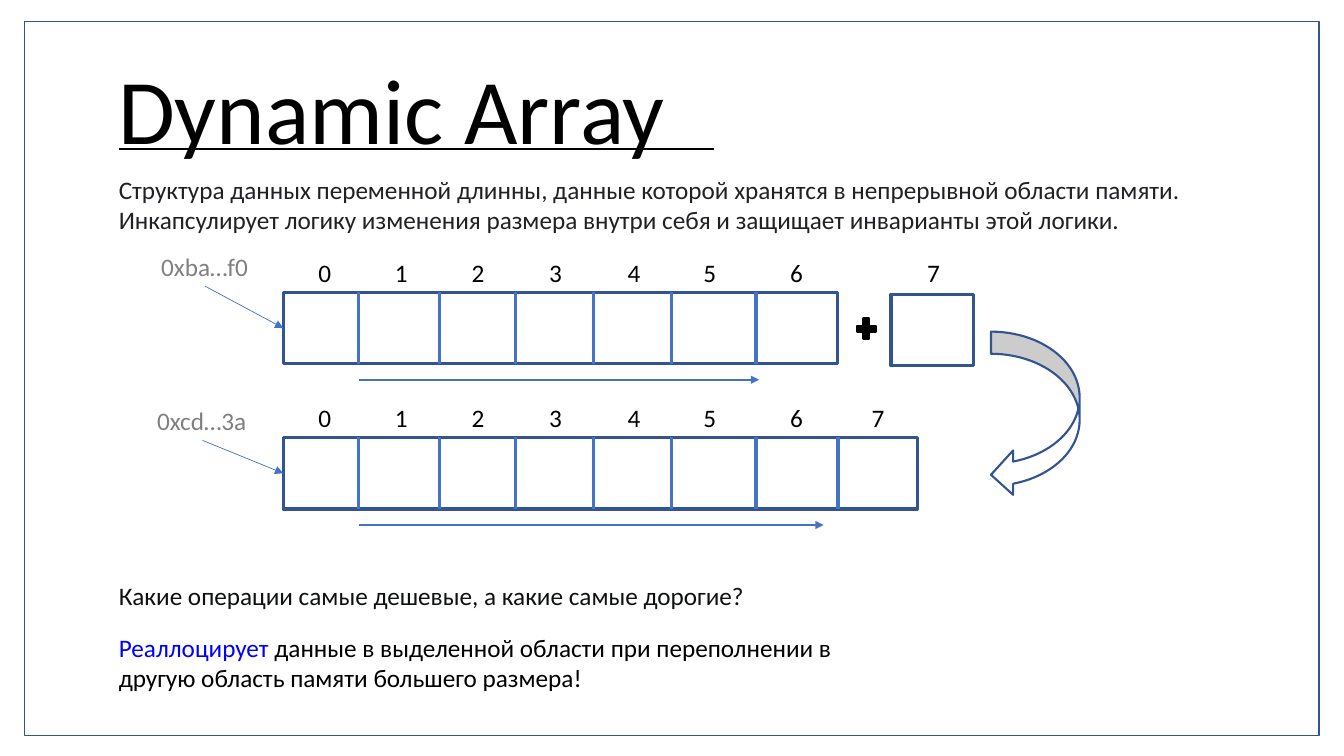
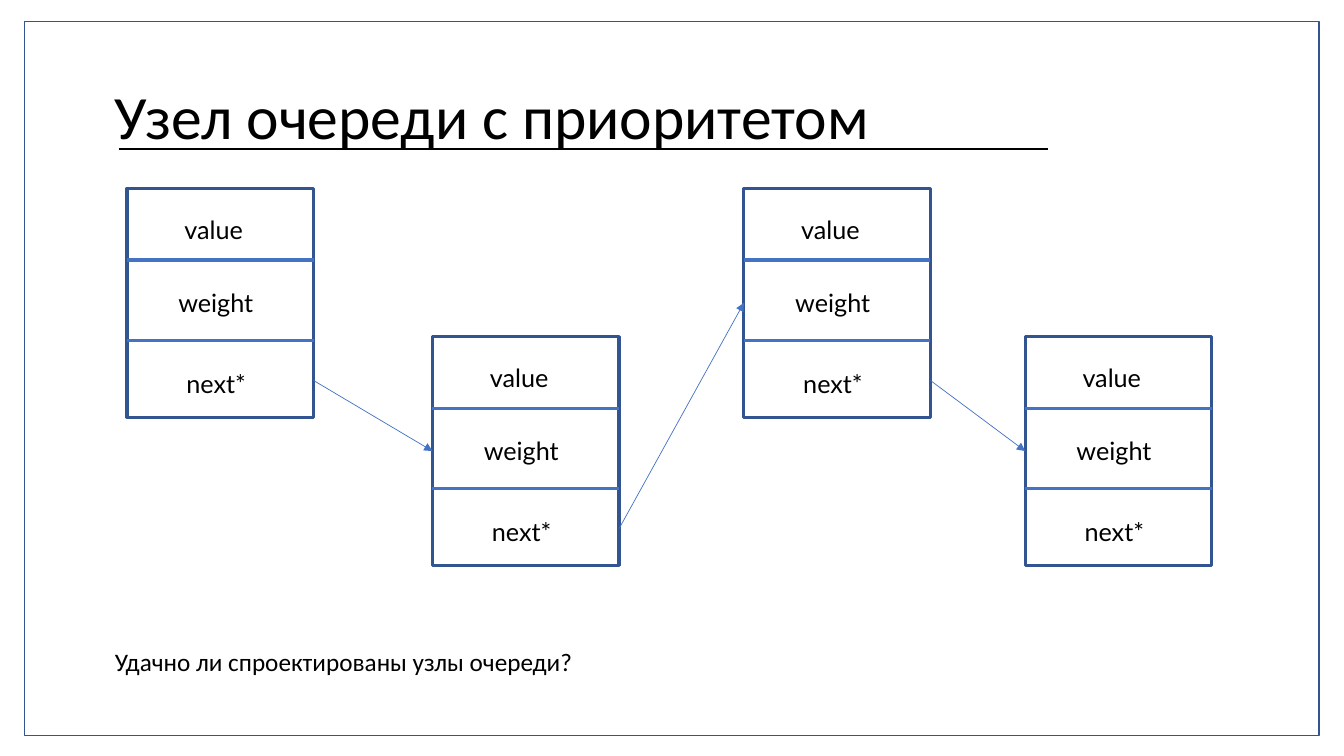
from collections import namedtuple
from itertools import accumulate, pairwise

from lxml.etree import SubElement
from pptx import Presentation
from pptx.dml.color import RGBColor
from pptx.enum.shapes import MSO_CONNECTOR, MSO_SHAPE as SHAPE
from pptx.enum.text import MSO_ANCHOR, MSO_AUTO_SIZE, PP_ALIGN
from pptx.oxml.ns import qn
from pptx.util import Inches, Pt

WIDTH, HEIGHT = Inches(13.33), Inches(7.5)
TITLE_ONLY = 5
LEFT_SIDE, BOTTOM_SIDE = 1, 2

BLACK = RGBColor(0x00, 0x00, 0x00)
WHITE = RGBColor(0xFF, 0xFF, 0xFF)
NAVY = RGBColor(0x32, 0x54, 0x91)
BLUE = RGBColor(0x44, 0x72, 0xC4)
GREY = RGBColor(0x80, 0x80, 0x80)
INK = RGBColor(0x20, 0x21, 0x24)
DARK = RGBColor(0x0F, 0x11, 0x11)
ACCENT = RGBColor(0x00, 0x00, 0xFF)

# All lengths are percent of the slide's width (x) or height (y)
Box = namedtuple("Box", "left top width height")
FRAME = Box(1.84, 2.87, 96.3, 94.4)
RULE_LEFT, RULE_TOP = 8.85, 19.73
LINE_H = 5.33

# Memory rows
ROW_LEFT, ROW_H = 21.08, 9.47
CELL_WIDTHS = (5.62, 6, 5.63, 5.81, 5.81, 6.3, 6.1, 5.9)
INDEX_CENTRES = (3.11, 8.81, 14.51, 20.28, 26.13, 31.76, 38.21, 44.28)
INDEX_W = 2.48

# Queue nodes
NODE_W, NODE_H = 13.88, 30.27
NODE_DIVIDERS = (9.47, 20.13)
NODE_FIELDS = (("value", Box(3.53, 2.8, 8.18, LINE_H)),
               ("weight", Box(3.08, 12.4, 9.15, LINE_H)),
               ("next*", Box(3.68, 23.07, 9.15, LINE_H)))
NEXT_EXIT = 25.4


def across(percent):
    return int(WIDTH * percent / 100)


def down(percent):
    return int(HEIGHT * percent / 100)


def place(box):
    return across(box.left), down(box.top), across(box.width), down(box.height)


def add_run(paragraph, text, size=18, color=BLACK, font="Calibri"):
    run = paragraph.add_run()
    run.text = text
    run.font.size = Pt(size)
    run.font.name = font
    run.font.color.rgb = color


def add_text(slide, box, *paragraphs, wrap=True, **style):
    """Each paragraph is a list of (text, color) runs."""
    textbox = slide.shapes.add_textbox(*place(box))
    frame = textbox.text_frame
    frame.word_wrap = wrap
    frame.auto_size = MSO_AUTO_SIZE.SHAPE_TO_FIT_TEXT
    for number, runs in enumerate(paragraphs):
        paragraph = frame.add_paragraph() if number else frame.paragraphs[0]
        for text, color in runs:
            add_run(paragraph, text, color=color, **style)
    return textbox


def add_block(slide, box, preset=SHAPE.RECTANGLE, fill=WHITE, line=NAVY, weight=2.25):
    block = slide.shapes.add_shape(preset, *place(box))
    block.shadow.inherit = False
    block.fill.solid()
    block.fill.fore_color.rgb = fill
    block.line.color.rgb = line
    block.line.width = Pt(weight)
    return block


def add_line(slide, start, end, color=BLUE, weight=2.25, arrow=False):
    line = slide.shapes.add_connector(
        MSO_CONNECTOR.STRAIGHT, across(start[0]), down(start[1]),
        across(end[0]), down(end[1]))
    line.line.color.rgb = color
    line.line.width = Pt(weight)
    if arrow:
        SubElement(line.line._get_or_add_ln(), qn("a:tailEnd"), type="triangle")
    SubElement(line.element.spPr, qn("a:effectLst"))
    return line


def add_titled_slide(deck, title_text, title_box, size, rule_right):
    """Slide with the shared frame, title and rule under it."""
    slide = deck.slides.add_slide(deck.slide_layouts[TITLE_ONLY])
    title = slide.shapes.title
    title.left, title.top, title.width, title.height = place(title_box)
    text_frame = title.text_frame
    text_frame.word_wrap = False
    text_frame.auto_size = MSO_AUTO_SIZE.SHAPE_TO_FIT_TEXT
    text_frame.vertical_anchor = MSO_ANCHOR.TOP
    text_frame.paragraphs[0].alignment = PP_ALIGN.LEFT
    add_run(text_frame.paragraphs[0], title_text, size)
    # The filled frame lies behind the title
    title.element.addprevious(add_block(slide, FRAME, weight=1).element)
    add_line(slide, (RULE_LEFT, RULE_TOP), (rule_right, RULE_TOP), BLACK, 1.5)
    return slide


def add_index(slide, index, centre, cell_top):
    box = Box(centre - INDEX_W / 2, cell_top - LINE_H, INDEX_W, LINE_H)
    add_text(slide, box, [(str(index), BLACK)], wrap=False)


def add_memory_row(slide, top, cells, scan_right, address, address_box):
    """Numbered cells, the scan arrow below and the start address."""
    bottom = top + ROW_H
    edges = list(accumulate(CELL_WIDTHS[:cells], initial=ROW_LEFT))
    row = add_block(slide, Box(ROW_LEFT, top, edges[-1] - ROW_LEFT, ROW_H))
    for edge in edges[1:-1]:
        add_line(slide, (edge, top), (edge, bottom))
    for index, centre in enumerate(INDEX_CENTRES[:cells]):
        add_index(slide, index, ROW_LEFT + centre, top)
    scan_top = bottom + 2.1
    add_line(slide, (edges[1], scan_top), (scan_right, scan_top), weight=1.5, arrow=True)

    label = add_text(slide, address_box, [(address, GREY)], wrap=False)
    pointer = add_line(slide, address_box[:2], (ROW_LEFT, top), weight=0.5, arrow=True)
    pointer.begin_connect(label, BOTTOM_SIDE)
    pointer.end_connect(row, LEFT_SIDE)


def add_node(slide, left, top):
    """Queue node: three fields parted by two dividers."""
    node = add_block(slide, Box(left, top, NODE_W, NODE_H))
    for offset in NODE_DIVIDERS:
        add_line(slide, (left, top + offset), (left + NODE_W, top + offset))
    for name, field in NODE_FIELDS:
        box = field._replace(left=left + field.left, top=top + field.top)
        add_text(slide, box, [(name, BLACK)], font="Lato")
    return node


def build_dynamic_array(deck):
    slide = add_titled_slide(deck, "Dynamic Array", Box(8.03, 6.27, 42.6, 16.13), 66, 53.1)
    add_text(
        slide, Box(8.1, 22.4, 85.73, 9.47),
        [("Структура данных переменной длинны, данные которой хранятся "
          "в непрерывной области памяти.", INK)],
        [("Инкапсулирует логику изменения размера внутри себя "
          "и защищает инварианты этой логики.", INK)])

    # Full array, the extra element and the move to a larger array
    top = 38.67
    add_memory_row(slide, top, 7, 56.48, "0xba…f0", Box(11.25, 32.53, 8.03, LINE_H))
    add_block(slide, Box(63.53, 41.6, 1.88, 3.73), SHAPE.MATH_PLUS, BLACK, BLACK, 1.5)
    add_block(slide, Box(66.3, 38.93, 6.15, ROW_H))
    add_index(slide, 7, 69.49, top)
    add_block(slide, Box(73.73, 43.87, 6.6, 21.87), SHAPE.CURVED_LEFT_ARROW, weight=1.5)
    add_memory_row(slide, 57.87, 8, 61.28, "0xcd…3a", Box(10.95, 52.93, 8.25, LINE_H))

    # Question and conclusion
    add_text(slide, Box(8.1, 76.13, 51.3, LINE_H),
             [("Какие операции самые дешевые, а какие самые дорогие?", DARK)])
    add_text(slide, Box(8.1, 82.93, 58.35, 9.47),
             [("Реаллоцирует", ACCENT),
              (" данные в выделенной области при переполнении "
               "в другую область памяти большего размера!", BLACK)])


def build_priority_queue(deck):
    slide = add_titled_slide(deck, "Узел очереди с приоритетом",
                             Box(7.8, 9.6, 58.2, 11.2), 44, 78)
    add_text(slide, Box(7.8, 84.8, 35.93, LINE_H),
             [("Удачно ли спроектированы узлы очереди?", BLACK)], wrap=False)

    # Nodes alternate between an upper and a lower level
    upper, lower = 24.93, 44.53
    corners = ((9.45, upper), (32.18, lower), (55.35, upper), (76.28, lower))
    nodes = [add_node(slide, *corner) for corner in corners]

    # Links from each next* field to the following node
    for ((left, top), _), (target_corner, target) in pairwise(zip(corners, nodes)):
        link = add_line(slide, (left + NODE_W, top + NEXT_EXIT), target_corner,
                        weight=0.5, arrow=True)
        link.end_connect(target, LEFT_SIDE)


def main():
    deck = Presentation()
    deck.slide_width, deck.slide_height = WIDTH, HEIGHT
    build_dynamic_array(deck)
    build_priority_queue(deck)
    deck.save("out.pptx")


if __name__ == "__main__":
    main()
